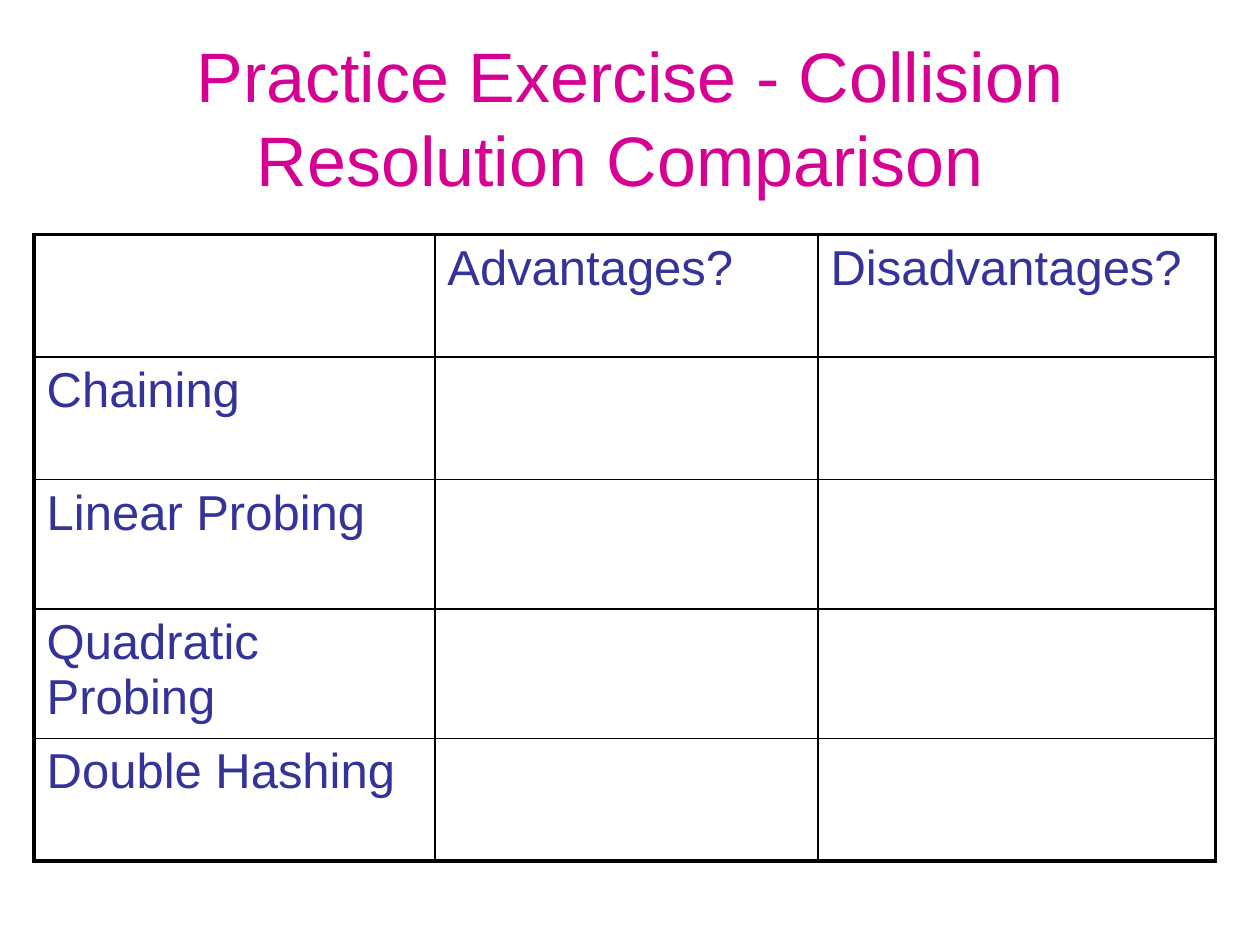
import dataclasses

import lxml.etree
import pptx
import pptx.dml.color
import pptx.enum.text
import pptx.oxml.ns
import pptx.util

Pt = pptx.util.Pt
FONT = "Arial"
TITLE_COLOR = "D60093"
TEXT_COLOR = "333399"
BORDER_COLOR = "000000"
OUTER_WIDTH = 2.25
INNER_WIDTH = 1
COLUMN_WIDTHS = (229, 219, 227)
HEADINGS = ("", "Advantages?", "Disadvantages?")


@dataclasses.dataclass(frozen=True)
class TableRow:
    label: str
    height: float


METHODS = (
    TableRow("Chaining", 70),
    TableRow("Linear Probing", 74),
    TableRow("Quadratic Probing", 74),
    TableRow("Double Hashing", 70),
)
HEADER_HEIGHT = 70


def color(value: str) -> pptx.dml.color.RGBColor:
    return pptx.dml.color.RGBColor.from_string(value)


def format_paragraph(para, size: float, value: str) -> None:
    para.font.name = FONT
    para.font.size = Pt(size)
    para.font.bold = False
    para.font.color.rgb = color(value)


def set_border(cell, side: str, width: float) -> None:
    """Add one border; side is L, R, T or B, added in that order before the fill."""
    properties = cell._tc.get_or_add_tcPr()
    qn = pptx.oxml.ns.qn
    line = lxml.etree.SubElement(properties, qn(f"a:ln{side}"), w=str(Pt(width)))
    fill = lxml.etree.SubElement(line, qn("a:solidFill"))
    lxml.etree.SubElement(fill, qn("a:srgbClr"), val=BORDER_COLOR)


def add_title(page, text: str) -> None:
    title = page.shapes.title
    title.left, title.top, title.width, title.height = Pt(36), Pt(21.6), Pt(648), Pt(90)
    title.text_frame.text = text
    title.text_frame.word_wrap = True
    title.text_frame.vertical_anchor = pptx.enum.text.MSO_ANCHOR.MIDDLE
    para = title.text_frame.paragraphs[0]
    para.alignment = pptx.enum.text.PP_ALIGN.CENTER
    format_paragraph(para, 40, TITLE_COLOR)


def add_comparison(page) -> None:
    heights = [HEADER_HEIGHT] + [method.height for method in METHODS]
    texts = [HEADINGS] + [(method.label, "", "") for method in METHODS]
    last_row, last_column = len(heights) - 1, len(COLUMN_WIDTHS) - 1
    table = page.shapes.add_table(
        len(heights), len(COLUMN_WIDTHS),
        Pt(19.5), Pt(134), Pt(sum(COLUMN_WIDTHS)), Pt(sum(heights)),
    ).table
    table.first_row = table.horz_banding = False
    for column, width in zip(table.columns, COLUMN_WIDTHS):
        column.width = Pt(width)
    for i, height in enumerate(heights):
        table.rows[i].height = Pt(height)
        for j, text in enumerate(texts[i]):
            cell = table.cell(i, j)
            cell.text = text
            cell.margin_left = cell.margin_right = Pt(7.2)
            cell.margin_top = cell.margin_bottom = Pt(3.6)
            format_paragraph(cell.text_frame.paragraphs[0], 28, TEXT_COLOR)
            outer_sides = {"L": j == 0, "R": j == last_column, "T": i == 0, "B": i == last_row}
            for side, is_outer in outer_sides.items():
                set_border(cell, side, OUTER_WIDTH if is_outer else INNER_WIDTH)
            cell.fill.background()


def main() -> None:
    deck = pptx.Presentation()
    deck.slide_width, deck.slide_height = Pt(720), Pt(540)
    page = deck.slides.add_slide(deck.slide_layouts[5])
    add_title(page, "Practice Exercise - Collision Resolution Comparison ")
    add_comparison(page)
    deck.save("out.pptx")


if __name__ == "__main__":
    main()
